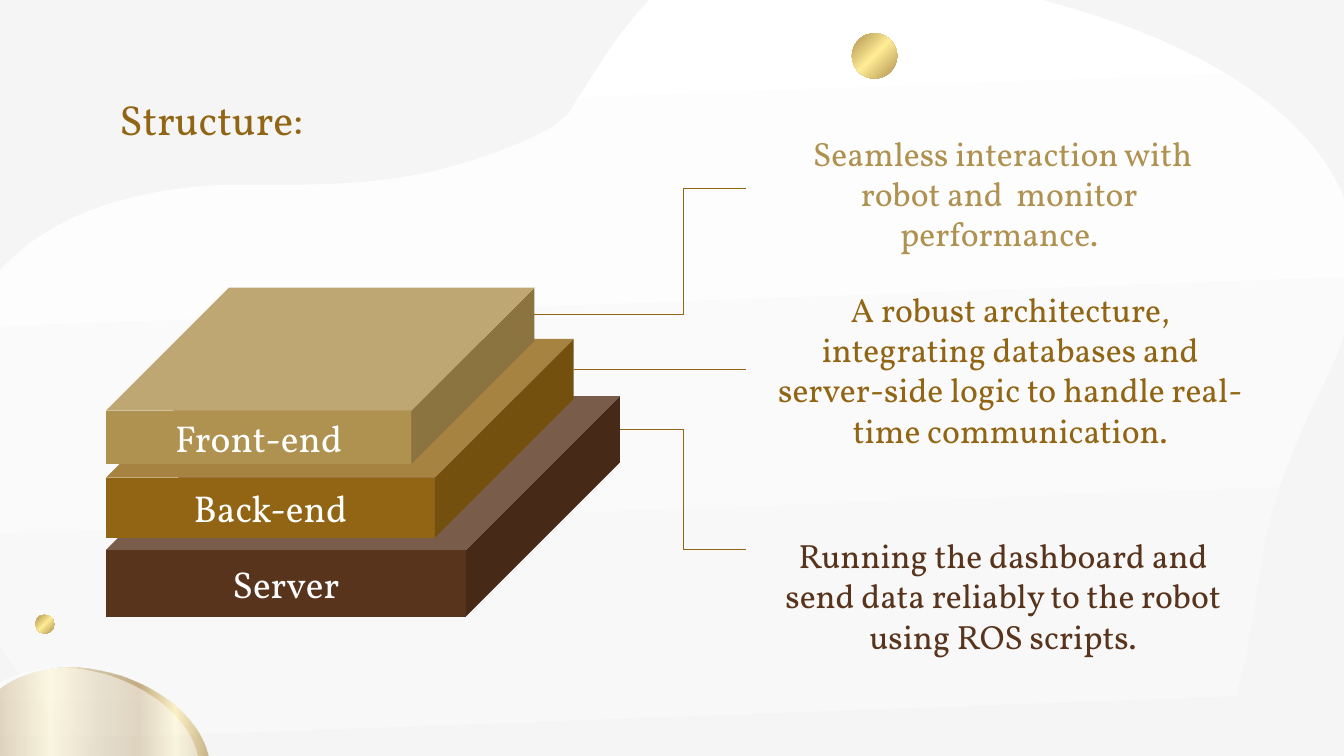
from math import cos, radians, sin

from lxml import etree
from pptx import Presentation
from pptx.dml.color import RGBColor
from pptx.enum.shapes import MSO_CONNECTOR, MSO_SHAPE
from pptx.enum.text import MSO_ANCHOR, MSO_AUTO_SIZE, PP_ALIGN
from pptx.oxml.ns import qn
from pptx.util import Cm, Pt

CUBE, OVAL = MSO_SHAPE.CUBE, MSO_SHAPE.OVAL
ELBOW = MSO_CONNECTOR.ELBOW
TOP, MIDDLE = MSO_ANCHOR.TOP, MSO_ANCHOR.MIDDLE
LEFT, CENTER = PP_ALIGN.LEFT, PP_ALIGN.CENTER
FIXED = MSO_AUTO_SIZE.NONE

FONT = "Vollkorn"
DEPTH = 0.698
BEND, END = 17.22, 18.8
UNIT = Cm(0.0254)
TILT = 267.9
PIVOT = 647.5, 402.5
COLORS = {
    "paper": "F5F5F5", "white": "FFFFFF", "dark": "59341D",
    "brown": "916513", "gold": "AF9150", "shine": "FFEC95",
}
PALE = [(0, "white"), (100, "paper")]
GLOSS = [(0, "gold"), (51, "shine"), (100, "gold")]
METAL = [(0, "dark"), (11, "brown"), (32, "shine"), (52, "gold"),
         (69, "brown"), (84, "shine"), (100, "brown")]

WAVE = [
    (-55, 451),
    (-52, 535), (-19, 621), (32, 682), (78, 738), (143, 771), (210, 797),
    (285, 825), (366, 838), (444, 816), (484, 805), (518, 785), (553, 763),
    (588, 741), (625, 718), (667, 712), (748, 702), (812, 764), (876, 803),
    (931, 837), (996, 854), (1060, 841), (1118, 830), (1168, 794), (1200, 746),
    (1243, 682), (1241, 605), (1257, 532), (1266, 489), (1282, 450), (1300, 410),
    (1317, 375), (1335, 339), (1343, 301), (1347, 285), (1348, 270), (1347, 255),
    (1344, 154), (1252, 85), (1162, 44), (1101, 16), (1036, -1), (970, -17),
    (925, -28), (882, -44), (837, -55), (801, -63), (762, -65), (725, -53),
    (666, -32), (627, 15), (595, 66), (584, 82), (574, 98), (564, 114),
    (559, 118), (555, 121), (551, 125), (521, 141), (489, 154), (457, 163),
    (390, 183), (323, 184), (253, 183), (145, 181), (16, 211), (-32, 320),
    (-50, 361), (-57, 406), (-55, 451),
]
DISC = [
    (69, 662),
    (55, 662), (41, 665), (28, 669), (3, 677), (-15, 693), (-20, 714),
    (-26, 734), (-20, 758), (-3, 778), (14, 799), (40, 815), (70, 824),
    (85, 828), (101, 830), (115, 830), (130, 830), (144, 828), (156, 824),
    (181, 816), (199, 799), (205, 779), (211, 758), (205, 735), (188, 715),
    (171, 694), (144, 678), (115, 669), (99, 665), (84, 662), (69, 662),
]
LAYERS = [
    ("Server", "dark", (2.67, 9.98, 12.95, 5.56), 13.84,
     "Running the dashboard and send data reliably to the robot using ROS scripts.",
     (19.16, 12.75, 12.24, 4.5)),
    ("Back-end", "brown", (2.67, 8.54, 11.79, 5.01), 9.3,
     "A robust architecture, integrating databases and server-side logic "
     "to handle real-time communication.",
     (19.16, 7.45, 12.6, 3.71)),
    ("Front-end", "gold", (2.67, 7.25, 10.8, 4.44), 4.75,
     " Seamless interaction with robot and  monitor performance.",
     (19.16, 3.28, 12.04, 3.18)),
]


def rgb(name):
    return RGBColor.from_string(COLORS[name])


def lengths(box):
    return [Cm(n) for n in box]


def blend(shape, stops, angle, alpha=100):
    shape.shadow.inherit = False
    shape.line.fill.background()
    shape.fill.gradient()
    grad = shape.element.spPr.find(qn("a:gradFill"))
    for child in list(grad):
        grad.remove(child)
    group = etree.SubElement(grad, qn("a:gsLst"))
    for place, name in stops:
        stop = etree.SubElement(group, qn("a:gs"), pos=str(place * 1000))
        color = etree.SubElement(stop, qn("a:srgbClr"), val=COLORS[name])
        if alpha < 100:
            etree.SubElement(color, qn("a:alpha"), val=str(alpha * 1000))
    etree.SubElement(grad, qn("a:lin"), ang=str(angle * 60000), scaled="0")


def turn(points, angle):
    a = radians(angle)
    px, py = PIVOT
    return [(px + (x - px) * cos(a) - (y - py) * sin(a),
             py + (x - px) * sin(a) + (y - py) * cos(a)) for x, y in points]


def blob(slide, points, shift=0, tilt=0):
    start, *rest = turn(points, -tilt)
    pen = slide.shapes.build_freeform(*start, scale=UNIT)
    pen.add_line_segments(rest, close=True)
    shape = pen.convert_to_shape(Cm(shift), 0)
    shape.rotation = tilt
    lines = list(shape.element.spPr.iter(qn("a:lnTo")))
    for i in range(0, len(lines), 3):
        curve = etree.Element(qn("a:cubicBezTo"))
        lines[i].addprevious(curve)
        for line in lines[i:i + 3]:
            curve.append(line[0])
            line.getparent().remove(line)
    return shape


def dot(slide, box):
    blend(slide.shapes.add_shape(OVAL, *lengths(box)), GLOSS, 225)


def backdrop(slide):
    slide.background.fill.solid()
    slide.background.fill.fore_color.rgb = rgb("paper")
    blend(blob(slide, WAVE, tilt=TILT), PALE, 180)
    blend(blob(slide, DISC), METAL, 0, 51)
    blend(blob(slide, DISC, -0.25), PALE, 90, 51)
    dot(slide, (0.89, 15.49, 0.48, 0.48))
    dot(slide, (21.47, 0.84, 1.14, 1.14))


def write(shape, text, size, color, align=CENTER, anchor=MIDDLE):
    frame = shape.text_frame
    frame.word_wrap = True
    frame.auto_size = FIXED
    frame.vertical_anchor = anchor
    frame.margin_left = frame.margin_right = Cm(0.34)
    frame.margin_top = frame.margin_bottom = Cm(0.34)
    line = frame.paragraphs[0]
    line.text = text
    line.alignment = align
    line.font.name = FONT
    line.font.size = Pt(size)
    line.font.color.rgb = rgb(color)


def heading(slide, box):
    title = slide.shapes.title
    title.left, title.top, title.width, title.height = lengths(box)
    write(title, "Structure:", 30, "brown", LEFT, TOP)


def note(slide, box, text, color):
    write(slide.shapes.add_textbox(*lengths(box)), text, 24, color)


def slab(slide, box, label, color):
    cube = slide.shapes.add_shape(CUBE, *lengths(box))
    cube.adjustments[0] = DEPTH
    cube.shadow.inherit = False
    cube.fill.solid()
    cube.fill.fore_color.rgb = rgb(color)
    cube.line.fill.background()
    write(cube, label, 26.7, "white")


def leader(slide, box, finish):
    left, top, width, height = box
    x = left + width
    y = round(top + height * (1 - DEPTH) / 2, 2)
    link = slide.shapes.add_connector(ELBOW, *lengths((x, y, END, finish)))
    link.line.color.rgb = rgb("brown")
    link.line.width = Pt(0.75)
    props = link.element.spPr
    etree.SubElement(props, qn("a:effectLst"))
    guides = props.find(qn("a:prstGeom")).find(qn("a:avLst"))
    bend = round((BEND - x) / (END - x) * 100000)
    etree.SubElement(guides, qn("a:gd"), name="adj1", fmla=f"val {bend}")


def main():
    deck = Presentation()
    deck.slide_width, deck.slide_height = Cm(33.87), Cm(19.05)
    slide = deck.slides.add_slide(deck.slide_layouts[5])
    backdrop(slide)
    heading(slide, (2.67, 2.01, 28.52, 2.08))
    for label, color, box, finish, text, area in LAYERS:
        note(slide, area, text, color)
    for label, color, box, finish, text, area in LAYERS:
        slab(slide, box, label, color)
    for label, color, box, finish, text, area in LAYERS:
        leader(slide, box, finish)
    deck.save("out.pptx")


if __name__ == "__main__":
    main()
